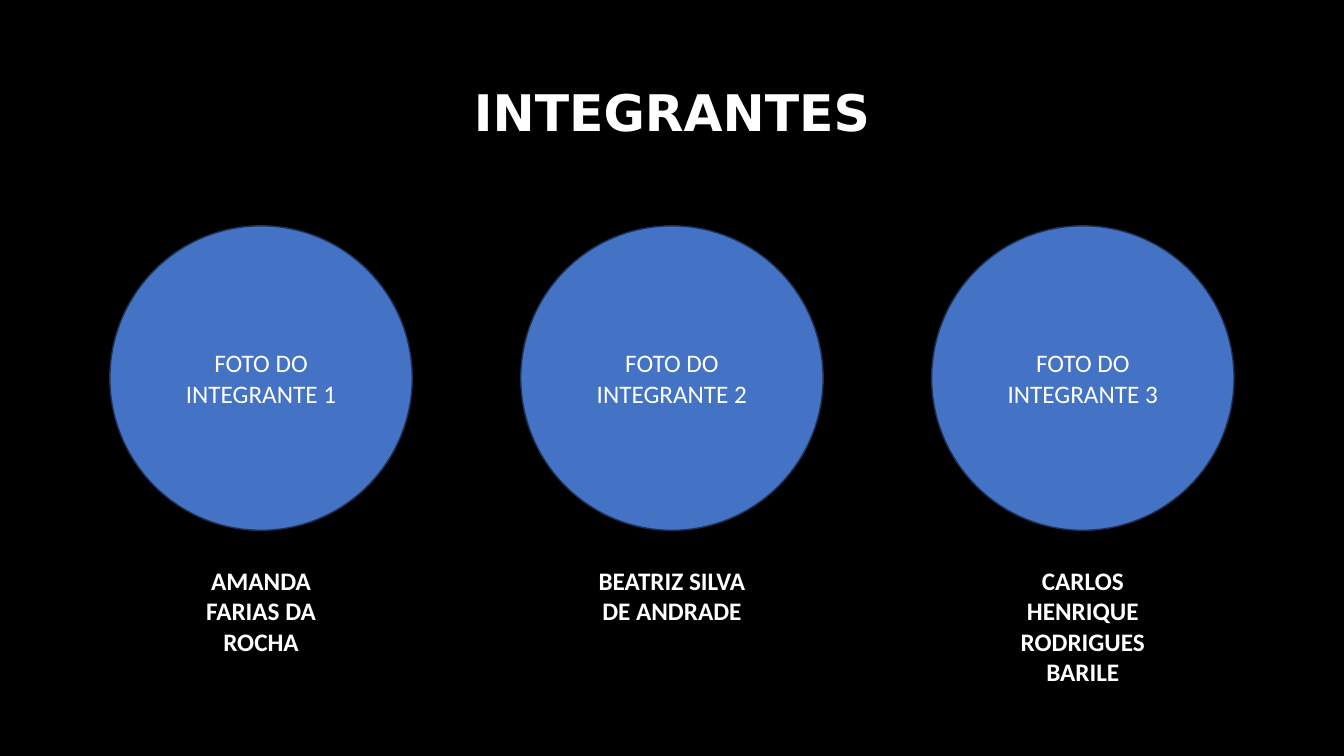
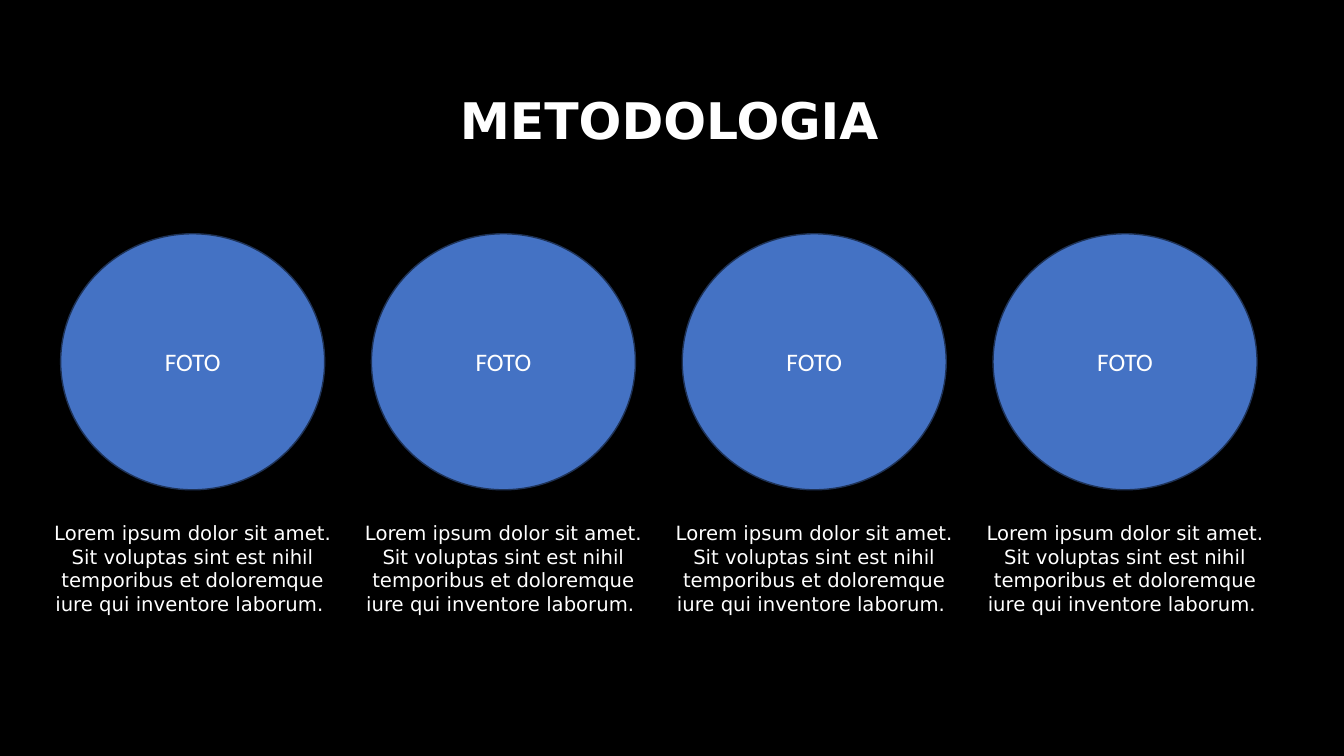
from pptx import Presentation
from pptx.dml.color import RGBColor
from pptx.enum.shapes import MSO_SHAPE as Preset
from pptx.enum.text import MSO_ANCHOR as Anchor, MSO_AUTO_SIZE as AutoSize, PP_ALIGN as Align
from pptx.util import Pt

BLACK = RGBColor(0x00, 0x00, 0x00)
WHITE = RGBColor(0xFF, 0xFF, 0xFF)
BLUE = RGBColor(0x44, 0x72, 0xC4)
NAVY = RGBColor(0x1E, 0x32, 0x56)

TITLE_FONT = {"name": "DejaVu Sans", "size": Pt(36), "bold": True}
LABEL_FONT = {"name": "Calibri", "size": Pt(18), "bold": False}
NAME_FONT = {"name": "Calibri", "size": Pt(18), "bold": True}
STEP_FONT = {"name": "DejaVu Sans", "size": Pt(14), "bold": False}

STEP = ("Lorem ipsum dolor sit amet. Sit voluptas sint est nihil "
        "temporibus et doloremque iure qui inventore laborum. ")

# Lengths are in points; boxes are (left, top, width, height).
# "center" is the middle of the first column, "pitch" the step to the next.
PAGES = [
    {
        "title": "INTEGRANTES",
        "title_box": (306, 54, 348, 51),
        "columns": [
            ("FOTO DO INTEGRANTE 1", "AMANDA FARIAS DA ROCHA"),
            ("FOTO DO INTEGRANTE 2", "BEATRIZ SILVA DE ANDRADE"),
            ("FOTO DO INTEGRANTE 3", "CARLOS HENRIQUE RODRIGUES BARILE"),
        ],
        "center": 186.5, "pitch": 293.5,
        "circle_top": 161.3, "circle_size": (216, 217.5),
        "caption_top": 400.3, "caption_size": (125.3, 94),
        "caption_font": NAME_FONT,
    },
    {
        "title": "METODOLOGIA",
        "title_box": (247, 60, 462, 51),
        "columns": [("FOTO", STEP)] * 4,
        "center": 137.6, "pitch": 222,
        "circle_top": 167, "circle_size": (188.6, 182.9),
        "caption_top": 368.6, "caption_size": (221.8, 75),
        "caption_font": STEP_FONT,
    },
]


def points(*lengths):
    return [Pt(length) for length in lengths]


def write(shape, text, font, anchor=Anchor.TOP):
    """Put centred white text into a shape."""
    frame = shape.text_frame
    frame.word_wrap = True
    frame.auto_size = AutoSize.NONE
    frame.vertical_anchor = anchor
    para = frame.paragraphs[0]
    para.alignment = Align.CENTER
    span = para.add_run()
    span.text = text
    for key, value in font.items():
        setattr(span.font, key, value)
    span.font.color.rgb = WHITE


def add_title(page, text, box):
    title = page.shapes.title
    title.left, title.top, title.width, title.height = points(*box)
    write(title, text, TITLE_FONT)


def add_circle(page, label, center, top, size):
    width, height = size
    circle = page.shapes.add_shape(
        Preset.FLOWCHART_CONNECTOR, *points(center - width / 2, top, width, height))
    circle.shadow.inherit = False
    circle.fill.solid()
    circle.fill.fore_color.rgb = BLUE
    circle.line.color.rgb = NAVY
    circle.line.width = Pt(1)
    write(circle, label, LABEL_FONT, Anchor.MIDDLE)


def add_caption(page, text, center, top, size, font):
    width, height = size
    caption = page.shapes.add_textbox(*points(center - width / 2, top, width, height))
    write(caption, text, font)


def add_page(deck, content):
    page = deck.slides.add_slide(deck.slide_layouts.get_by_name("Title Only"))
    add_title(page, content["title"], content["title_box"])
    for index, (label, text) in enumerate(content["columns"]):
        center = content["center"] + index * content["pitch"]
        add_circle(page, label, center, content["circle_top"], content["circle_size"])
        add_caption(page, text, center, content["caption_top"],
                    content["caption_size"], content["caption_font"])


def main():
    deck = Presentation()
    deck.slide_width, deck.slide_height = points(960, 540)
    background = deck.slide_master.background.fill
    background.solid()
    background.fore_color.rgb = BLACK
    for content in PAGES:
        add_page(deck, content)
    deck.save("out.pptx")


if __name__ == "__main__":
    main()
